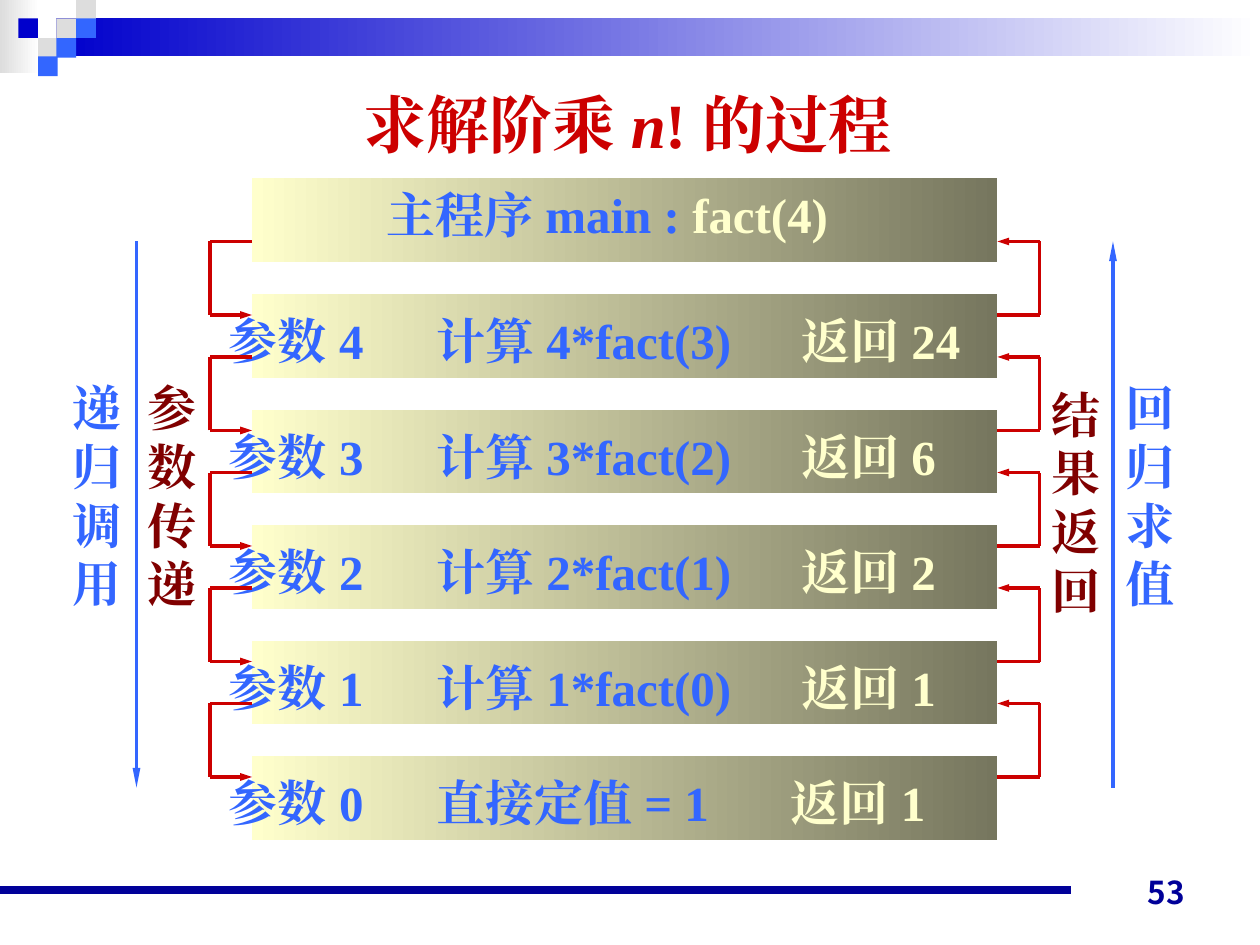
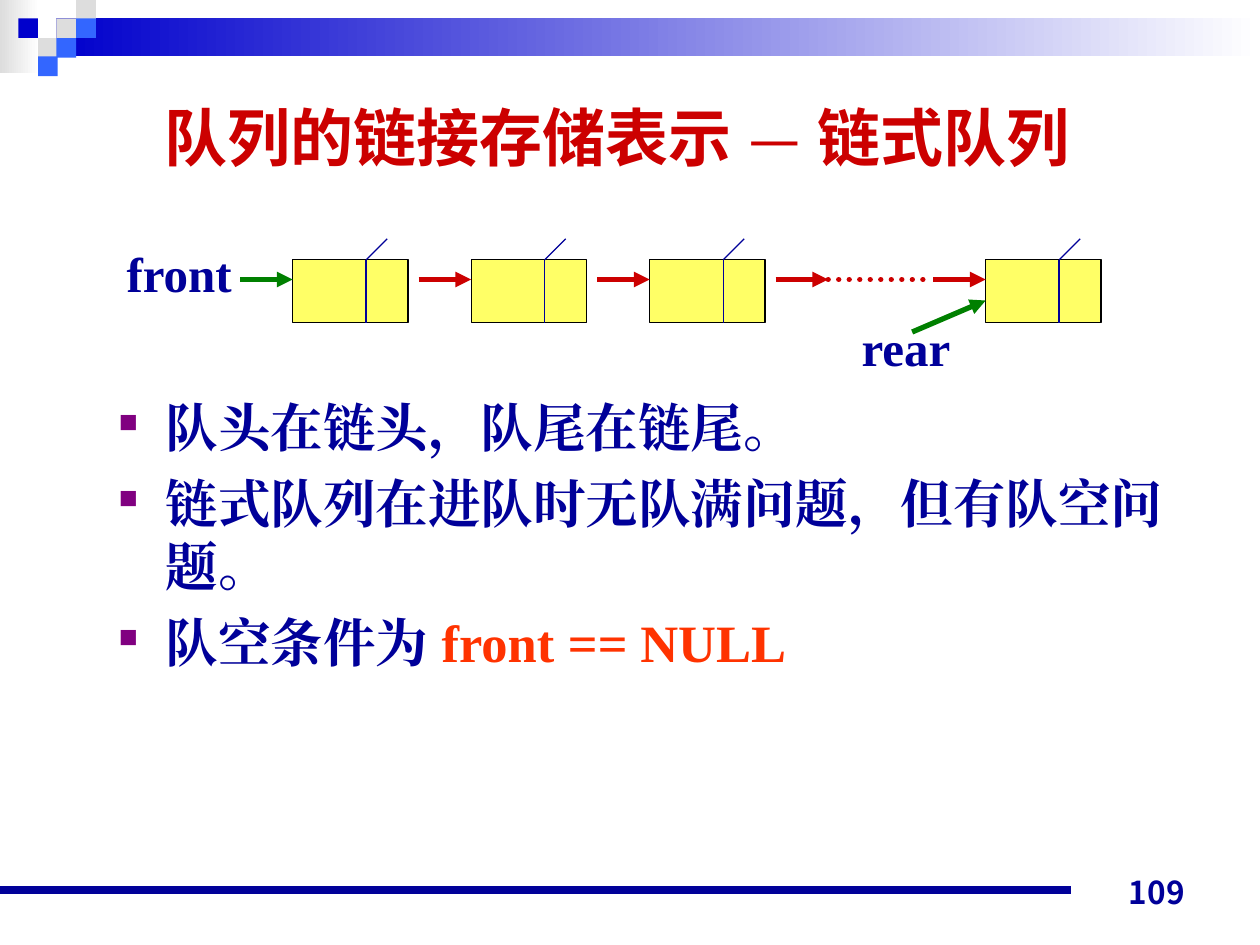
"""Build two slides on recursive factorials and linked queues."""
from dataclasses import dataclass

from lxml import etree
from pptx import Presentation
from pptx.dml.color import RGBColor
from pptx.enum.dml import MSO_LINE
from pptx.enum.shapes import MSO_CONNECTOR, MSO_SHAPE
from pptx.enum.text import MSO_ANCHOR, PP_ALIGN
from pptx.oxml.ns import qn
from pptx.util import Pt

PX = 9525
RECT = MSO_SHAPE.RECTANGLE
STRAIGHT = MSO_CONNECTOR.STRAIGHT
DOTS = MSO_LINE.ROUND_DOT
LEFT, CENTER, RIGHT = PP_ALIGN.LEFT, PP_ALIGN.CENTER, PP_ALIGN.RIGHT
TOP, MIDDLE, BOTTOM = MSO_ANCHOR.TOP, MSO_ANCHOR.MIDDLE, MSO_ANCHOR.BOTTOM


@dataclass(frozen=True)
class Theme:
    """Colours, fonts and type sizes."""
    navy: str = "000099"
    blue: str = "0000CC"
    sky: str = "3366FF"
    gray: str = "DDDDDD"
    white: str = "FFFFFF"
    black: str = "000000"
    red: str = "CC0000"
    maroon: str = "800000"
    purple: str = "800080"
    orange: str = "FF3300"
    green: str = "008000"
    yellow: str = "FFFF66"
    cream: str = "FFFFCC"
    olive: str = "76765E"
    serif: str = "Times New Roman"
    sans: str = "Noto Sans CJK JP"
    plain: str = "Calibri"
    title: int = 36
    body: int = 30
    label: int = 28
    page: int = 18


T = Theme()


def px(*nums):
    """Turn px lengths into EMU."""
    return [round(n * PX) for n in nums]


def rgb(code):
    """Read a hex colour."""
    return RGBColor.from_string(code)


def add(node, tag, **attrs):
    """Append a drawing element to a node."""
    return etree.SubElement(node, qn(tag), attrs)


def style(font, color=None, name=None, asian=None, size=None, bold=None, italic=None):
    """Set the given traits of a font."""
    if color:
        font.color.rgb = rgb(color)
    if name:
        font.name = name
    if asian:
        add(font._element, "a:ea", typeface=asian)
    if size:
        font.size = Pt(size)
    if bold is not None:
        font.bold = bold
    if italic is not None:
        font.italic = italic


def write(para, parts, color, size, name=T.serif, align=LEFT):
    """Fill a paragraph with bold runs, each with its own changes."""
    para.alignment = align
    if name != T.sans:
        para.line_spacing = Pt(size * 1.2)
    asian = T.sans if name == T.sans else T.serif
    style(para.font, color, name, asian, size, True)
    for text, traits in parts:
        run = para.add_run()
        run.text = text
        style(run.font, **traits)


def frame(slide, box, anchor=TOP):
    """Add a wrapping text box and return its frame."""
    area = slide.shapes.add_textbox(*px(*box)).text_frame
    area.word_wrap = True
    area.vertical_anchor = anchor
    return area


def label(slide, box, parts, color, size=T.label, name=T.serif,
          align=LEFT, anchor=TOP, tabs=()):
    """Add a text box with one paragraph."""
    if isinstance(parts, str):
        parts = [(parts, {})]
    para = frame(slide, box, anchor).paragraphs[0]
    if tabs:
        stops = add(para._p.get_or_add_pPr(), "a:tabLst")
        for stop in px(*tabs):
            add(stops, "a:tab", pos=str(stop), algn="l")
    write(para, parts, color, size, name, align)


def bullets(slide, box, items):
    """Add a list with small square bullets."""
    area = frame(slide, box)
    indent = px(36)[0]
    for i, parts in enumerate(items):
        para = area.add_paragraph() if i else area.paragraphs[0]
        props = para._p.get_or_add_pPr()
        props.set("marL", str(indent))
        props.set("indent", str(-indent))
        add(add(props, "a:buClr"), "a:srgbClr", val=T.purple)
        add(props, "a:buSzPct", val="50000")
        add(props, "a:buChar", char="■")
        if i:
            para.space_before = Pt(7.5)
        write(para, parts, T.navy, T.body, T.plain)


def block(slide, box, color, fade=None, edge=None):
    """Add a rectangle, plain or fading to a second colour."""
    shape = slide.shapes.add_shape(RECT, *px(*box))
    shape.shadow.inherit = False
    if fade:
        shape.fill.gradient()
        shape.fill.gradient_angle = 0
        for stop, tone in zip(shape.fill.gradient_stops, (color, fade)):
            stop.color.rgb = rgb(tone)
    else:
        shape.fill.solid()
        shape.fill.fore_color.rgb = rgb(color)
    if edge:
        shape.line.color.rgb = rgb(edge)
        shape.line.width = Pt(0.75)
    else:
        shape.line.fill.background()


def line(slide, ends, color, width=2.25, head=None, dots=False):
    """Add a line; head holds the width and length of an arrowhead."""
    link = slide.shapes.add_connector(STRAIGHT, *px(*ends))
    link.line.color.rgb = rgb(color)
    link.line.width = Pt(width)
    if dots:
        link.line.dash_style = DOTS
        link.line._ln.set("cap", "rnd")
    if head:
        add(link.line._ln, "a:tailEnd", type="triangle", w=head[0], len=head[1])
    add(link._element.spPr, "a:effectLst")


def base(deck, page):
    """Add a slide with the shared band, squares, rule and page number."""
    slide = deck.slides.add_slide(deck.slide_layouts[6])
    block(slide, (0, 0, 30, 56), T.gray, T.white)
    block(slide, (43, 14, 917, 29), T.blue, T.white)
    cells = [(3, 1, T.gray), (4, 0, T.gray), (4, 1, T.sky), (2, 2, T.gray),
             (1, 1, T.blue), (3, 2, T.sky), (2, 3, T.sky)]
    for col, row, color in cells:
        block(slide, (round(col * 14.4), round(row * 14.4), 15, 15), color)
    line(slide, (0, 678, 816, 678), T.navy, 4.5)
    label(slide, (688, 651, 224, 48), page, T.navy, T.page, T.sans, RIGHT, BOTTOM)
    return slide


def loop(slide, y):
    """Draw the call on the left and the return on the right."""
    low = y + 56
    head = ("sm", "med")
    line(slide, (192, y, 160, y), T.red)
    line(slide, (160, low, 192, low), T.red, head=head)
    line(slide, (792, low, 760, low), T.red)
    line(slide, (792, y, 760, y), T.red, head=head)
    for x in (160, 792):
        line(slide, (x, low, x, y), T.red)


def calls(deck):
    """Build the slide on the factorial calls."""
    slide = base(deck, "53")
    label(slide, (219, 58, 518, 72),
          [("求解阶乘 ", {}), ("n", {"italic": True}), ("! 的过程", {})],
          T.red, T.title, align=CENTER, anchor=MIDDLE)
    light = {"color": T.cream}
    block(slide, (192, 136, 568, 64), T.cream, T.olive)
    label(slide, (285, 136, 384, 55),
          [("主程序 main : ", {}), ("fact(4)", light)], T.sky)
    for i, back in enumerate((24, 6, 2, 1, 1)):
        n = 4 - i
        y = 224 + 88 * i
        job = f"计算 {n}*fact({n - 1})" if n else "直接定值 = 1"
        block(slide, (192, y, 568, 64), T.cream, T.olive)
        label(slide, (165, y + 8, 614, 55),
              [(f"参数 {n}\t{job}\t", {}), (f"返回 {back}", light)],
              T.sky, tabs=(158, 436 if n else 428))
        loop(slide, y - 40)
    sides = [(103, 283, 65, "参数传递", T.maroon), (792, 288, 58, "结果返回", T.maroon),
             (46, 283, 65, "递归调用", T.sky), (848, 283, 65, "回归求值", T.sky)]
    for x, y, wide, text, color in sides:
        label(slide, (x, y, wide, 189), text, color)
    for x, start, end in ((104, 184, 600), (848, 600, 184)):
        line(slide, (x, start, x, end), T.sky, head=("sm", "lg"))


def node(slide, x, color):
    """Draw a list node and the arrow that leads to it."""
    block(slide, (x, 198, 88, 48), T.yellow, edge=T.black)
    line(slide, (x - 40, 213, x, 213), color, 3, ("med", "med"))
    line(slide, (x + 56, 198, x + 56, 246), T.navy, 0.75)
    line(slide, (x + 56, 198, x + 72, 182), T.navy, 0.75)


def queue(deck):
    """Build the slide on the linked queue."""
    slide = base(deck, "109")
    label(slide, (116, 60, 723, 87),
          [("队列的链接存储表示 ", {}),
           ("— ", {"name": T.plain, "asian": T.plain, "bold": False}),
           ("链式队列", {})],
          T.red, T.title, T.sans, anchor=MIDDLE)
    code = {"name": T.serif, "color": T.orange}
    bullets(slide, (81, 296, 830, 257), [
        [("队头在链头，队尾在链尾。", {})],
        [("链式队列在进队时无队满问题，但有队空问题。", {})],
        [("队空条件为 ", {}), ("front ", code), ("==", {**code, "italic": True}),
         (" NULL", code)]])
    for x, color in ((223, T.green), (359, T.red), (495, T.red), (751, T.red)):
        node(slide, x, color)
    head = ("med", "med")
    line(slide, (591, 213, 631, 213), T.red, 3, head)
    line(slide, (631, 213, 711, 213), T.red, 3, dots=True)
    line(slide, (695, 253, 751, 229), T.green, 3, head)
    label(slide, (87, 181, 110, 55), "front", T.navy)
    label(slide, (647, 237, 95, 55), "rear", T.navy)


def main():
    """Build and save the deck."""
    deck = Presentation()
    deck.slide_width, deck.slide_height = px(960, 720)
    calls(deck)
    queue(deck)
    deck.save("out.pptx")


if __name__ == "__main__":
    main()
